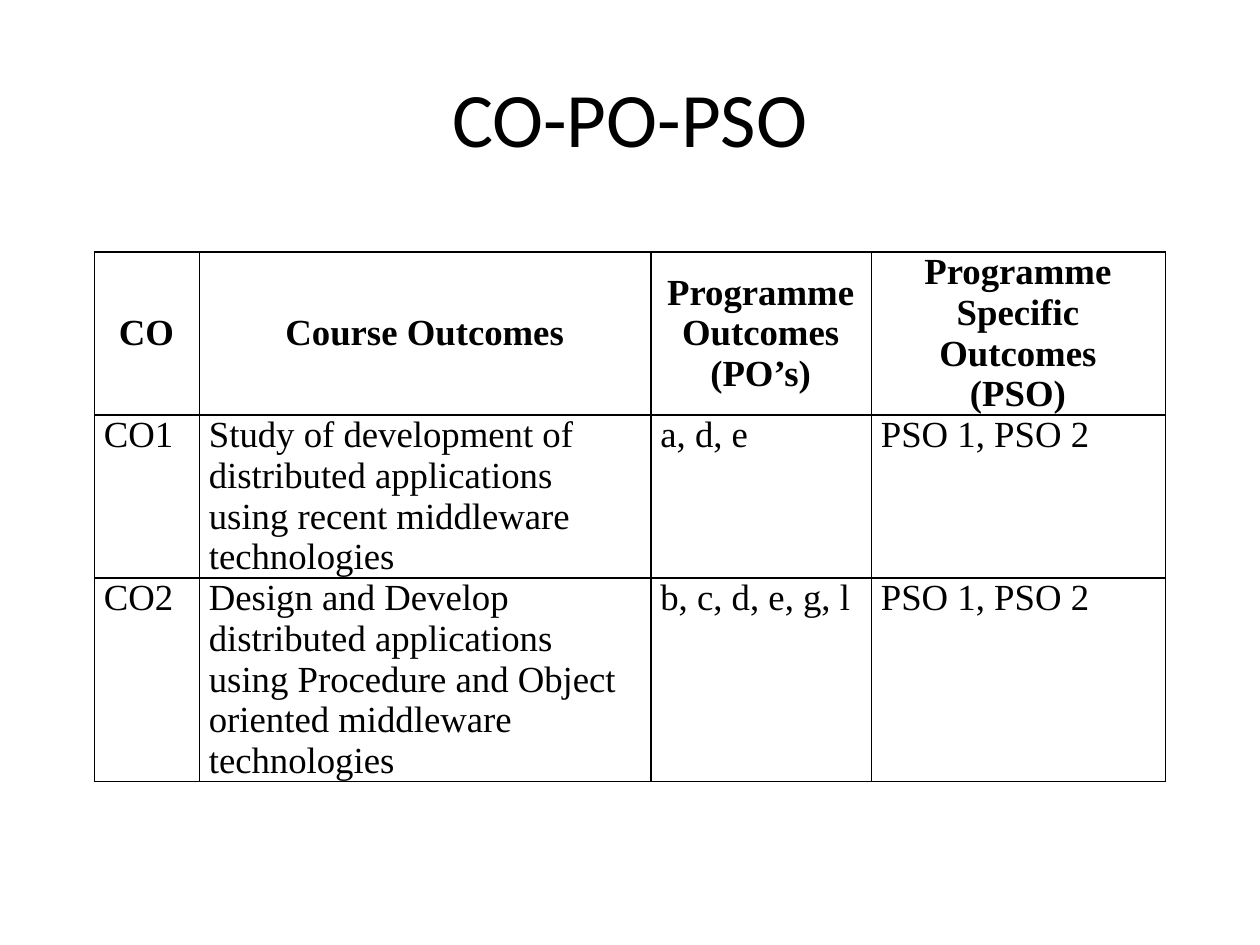
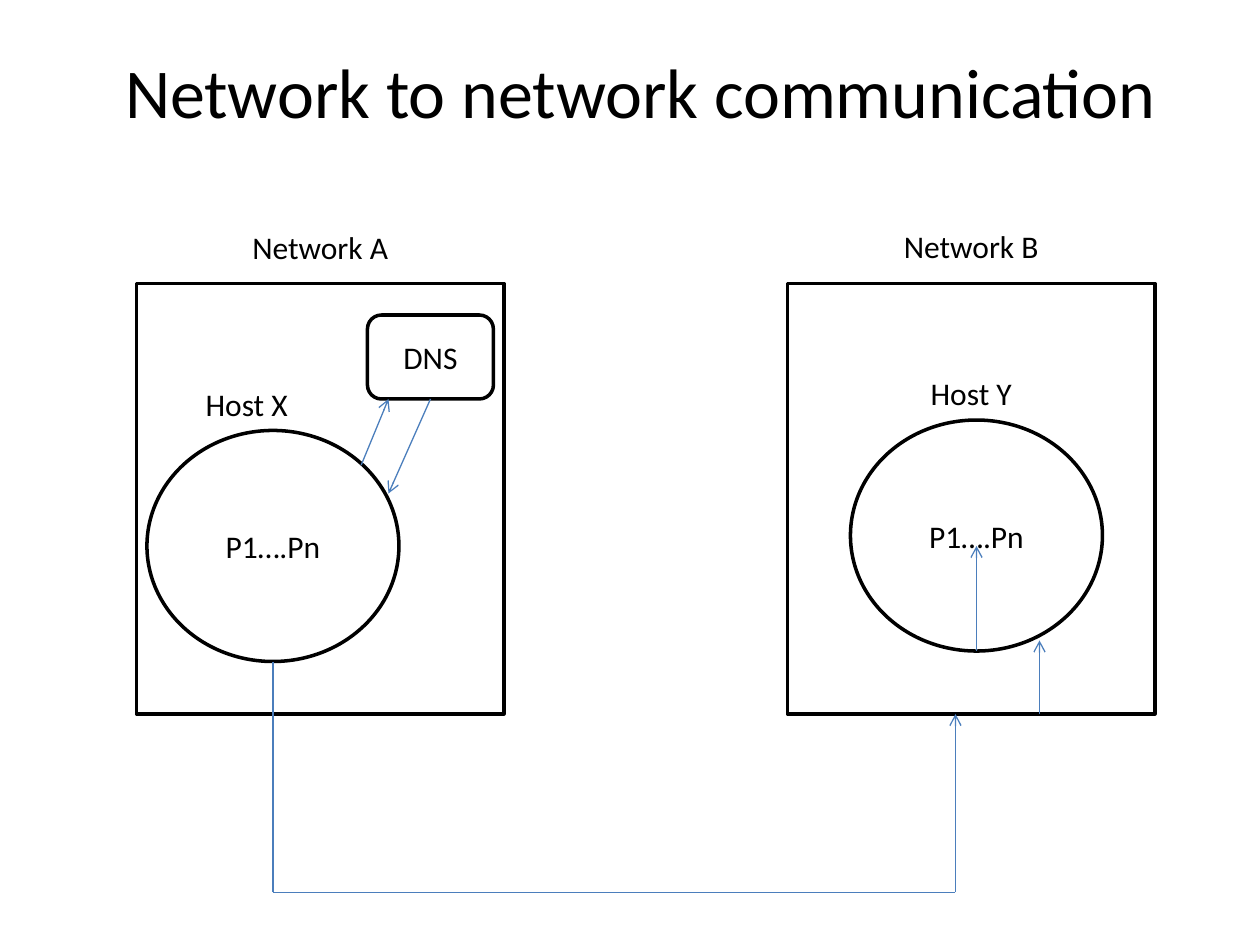
from pptx import Presentation
from pptx.dml.color import RGBColor
from pptx.enum.shapes import MSO_CONNECTOR, MSO_SHAPE
from pptx.enum.text import MSO_ANCHOR, PP_ALIGN
from pptx.oxml import parse_xml
from pptx.oxml.ns import nsdecls, qn
from pptx.oxml.xmlchemy import OxmlElement
from pptx.util import Pt

BLACK = RGBColor(0x00, 0x00, 0x00)
WHITE = RGBColor(0xFF, 0xFF, 0xFF)
ARROW_BLUE = RGBColor(0x4B, 0x7E, 0xBC)
SLIDE_FONT = "Calibri"
TABLE_FONT = "Times New Roman"
EMU_PER_PX = 7620  # 120 px to the inch
TITLE_ONLY = 5
BOTTOM = 2


def px(*lengths):
    return [length * EMU_PER_PX for length in lengths]


def write(frame, text, size=18, font=SLIDE_FONT, bold=False, align=PP_ALIGN.CENTER):
    """Fill a text frame, one paragraph per line of text."""
    frame.text = text
    for paragraph in frame.paragraphs:
        paragraph.alignment = align
        style = paragraph.font
        style.size, style.name, style.bold = Pt(size), font, bold
        style.color.rgb = BLACK


class Deck:
    def __init__(self):
        self.prs = Presentation()
        self.prs.slide_width, self.prs.slide_height = px(1200, 900)

    def new_slide(self):
        self.slide = self.prs.slides.add_slide(self.prs.slide_layouts[TITLE_ONLY])

    def start_group(self):
        self.group = self.slide.shapes.add_group_shape().shapes

    def title(self, text, box, size, anchor):
        title = self.slide.shapes.title
        title.left, title.top, title.width, title.height = px(*box)
        title.text_frame.word_wrap = True
        title.text_frame.vertical_anchor = anchor
        write(title.text_frame, text, size)

    def label(self, text, box):
        frame = self.group.add_textbox(*px(*box)).text_frame
        frame.word_wrap = True
        write(frame, text)

    def outlined(self, preset, box, text=""):
        shape = self.group.add_shape(preset, *px(*box))
        shape.shadow.inherit = False
        shape.fill.solid()
        shape.fill.fore_color.rgb = WHITE
        shape.line.color.rgb = BLACK
        shape.line.width = Pt(2)
        if text:
            shape.text_frame.vertical_anchor = MSO_ANCHOR.MIDDLE
            write(shape.text_frame, text)
        return shape

    def link(self, start, end, arrow=True, begin_at=None):
        line = self.group.add_connector(MSO_CONNECTOR.STRAIGHT, *px(*start, *end))
        if begin_at is not None:
            line.begin_connect(begin_at, BOTTOM)
        line.line.color.rgb = ARROW_BLUE
        line.line.width = Pt(0.75)
        properties = line.element.spPr
        if arrow:
            head = OxmlElement("a:tailEnd")
            head.set("type", "arrow")
            properties.find(qn("a:ln")).append(head)
        properties.append(OxmlElement("a:effectLst"))

    def table(self, rows, left, top, widths, heights):
        size = px(left, top, sum(widths), sum(heights))
        table = self.slide.shapes.add_table(len(rows), len(widths), *size).table
        table.first_row = table.horz_banding = False
        for column, width in zip(table.columns, px(*widths)):
            column.width = width
        for row, height in zip(table.rows, px(*heights)):
            row.height = height
        for r, texts in enumerate(rows):
            for c, text in enumerate(texts):
                self.cell(table.cell(r, c), text, header=r == 0)

    def cell(self, cell, text, header):
        cell.margin_left, cell.margin_right = px(9, 10)
        cell.margin_top = cell.margin_bottom = 0
        cell.vertical_anchor = MSO_ANCHOR.MIDDLE if header else MSO_ANCHOR.TOP
        write(cell.text_frame, text, 21, TABLE_FONT, header,
              PP_ALIGN.CENTER if header else PP_ALIGN.LEFT)
        # Borders come before the fill in the cell properties
        for side in ("lnL", "lnR", "lnT", "lnB"):
            cell._tc.get_or_add_tcPr().append(parse_xml(
                f'<a:{side} {nsdecls("a")} w="{Pt(1)}"><a:solidFill>'
                f'<a:srgbClr val="{BLACK}"/></a:solidFill></a:{side}>'))
        cell.fill.solid()
        cell.fill.fore_color.rgb = WHITE


def outcomes_slide(deck):
    deck.new_slide()
    deck.title("CO-PO-PSO", (60, 36, 1080, 150), 44, MSO_ANCHOR.MIDDLE)
    outcomes = [
        ("CO", "Course Outcomes", "Programme Outcomes\n(PO’s)",
         "Programme Specific Outcomes\n(PSO)"),
        ("CO1", "Study of development of distributed applications using recent "
         "middleware technologies", "a, d, e", "PSO 1, PSO 2"),
        ("CO2", "Design and Develop distributed applications using Procedure and "
         "Object oriented middleware technologies", "b, c, d, e, g, l", "PSO 1, PSO 2"),
    ]
    deck.table(outcomes, 90, 240, (100, 430, 210, 280), (120, 126, 126))


def network_slide(deck):
    deck.new_slide()
    deck.title("Network to network communication", (50, 40, 1120, 92), 40, MSO_ANCHOR.TOP)
    deck.start_group()

    # Networks
    for left in (130, 750):
        deck.outlined(MSO_SHAPE.RECTANGLE, (left, 270, 350, 410))
    deck.label("Network A", (180, 211, 250, 48))
    deck.label("Network B", (810, 210, 230, 48))

    # Hosts with their processes
    for left, top in ((140, 410), (810, 400)):
        deck.outlined(MSO_SHAPE.OVAL, (left, top, 240, 220), "P1….Pn")
    deck.label("Host X", (140, 361, 190, 48))
    deck.label("Host Y", (840, 350, 170, 50))

    # Name lookup
    dns = deck.outlined(MSO_SHAPE.ROUNDED_RECTANGLE, (350, 300, 120, 80), "DNS")
    deck.link((344, 443), (370, 380))
    deck.link((410, 380), (370, 470), begin_at=dns)

    # Route from host X to network B
    route = [(260, 630), (260, 850), (910, 850), (910, 680)]
    for start, end in zip(route, route[1:]):
        deck.link(start, end, arrow=end == route[-1])

    # Delivery to host Y and its process
    deck.link((990, 680), (990, 610))
    deck.link((930, 620), (930, 520))


def main():
    deck = Deck()
    outcomes_slide(deck)
    network_slide(deck)
    deck.prs.save("out.pptx")


if __name__ == "__main__":
    main()
